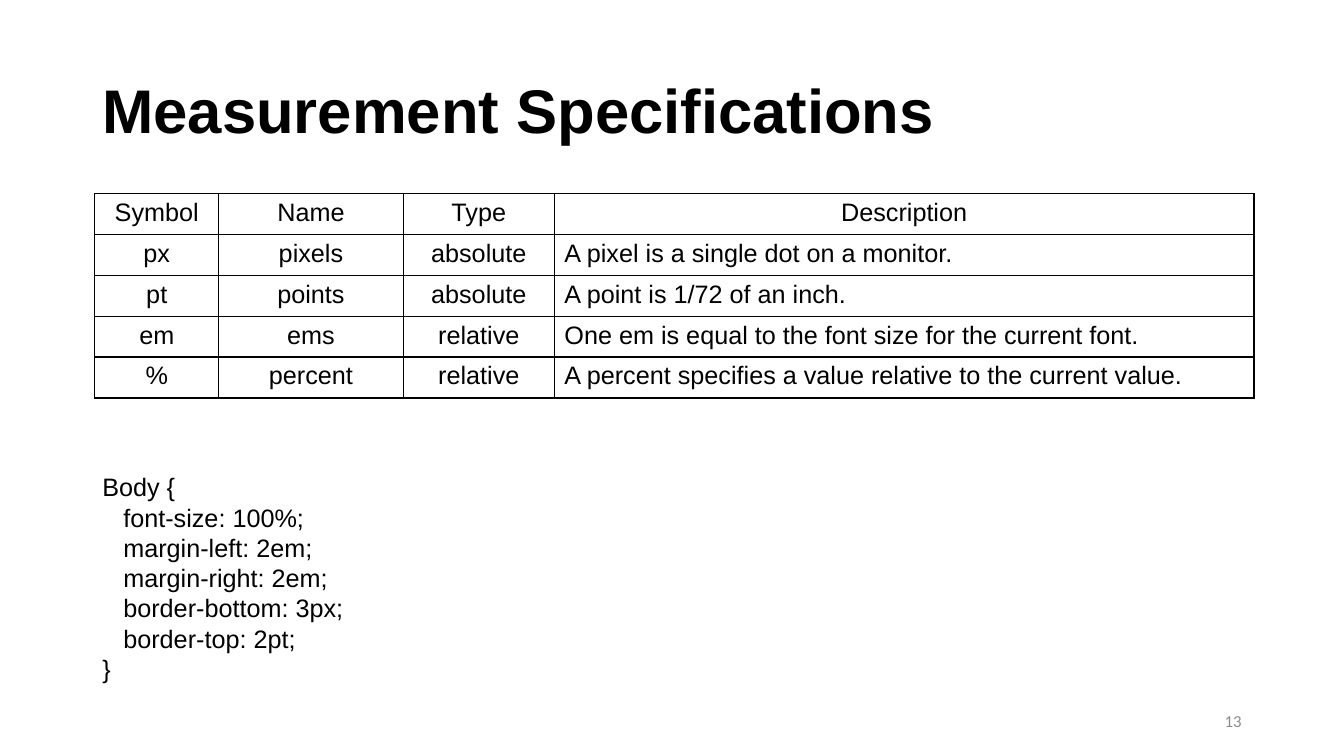
import pptx
import pptx.dml.color
import pptx.enum.text
import pptx.oxml
import pptx.oxml.ns
import pptx.util

WIDTH, HEIGHT = pptx.util.Inches(13.33), pptx.util.Inches(7.5)
GRID_COLUMNS, GRID_ROWS = 160, 90

COLORS = {"ink": "000000", "muted": "8C8C8C"}
ALIGN = pptx.enum.text.PP_ALIGN
ANCHOR = pptx.enum.text.MSO_ANCHOR

BODY = {"name": "Arial", "size": pptx.util.Pt(18), "bold": False}
TITLE = {"name": "Arial", "size": pptx.util.Pt(44), "bold": True}
NUMBER = {"name": "Calibri", "size": pptx.util.Pt(12), "bold": False}

UNIT_COLUMNS = (14.76, 21.96, 18, 83.28)
UNIT_ROW = 4.87
UNITS = (
    ("Symbol", "Name", "Type", "Description"),
    ("px", "pixels", "absolute", "A pixel is a single dot on a monitor."),
    ("pt", "points", "absolute", "A point is 1/72 of an inch."),
    ("em", "ems", "relative", "One em is equal to the font size for the current font."),
    ("%", "percent", "relative", "A percent specifies a value relative to the current value."),
)

DECLARATIONS = (
    "font-size: 100%;",
    "margin-left: 2em;",
    "margin-right: 2em;",
    "border-bottom: 3px;",
    "border-top: 2pt;",
)


def across(columns):
    return round(WIDTH * columns / GRID_COLUMNS)


def down(rows):
    return round(HEIGHT * rows / GRID_ROWS)


def place(left, top, width, height):
    return across(left), down(top), across(width), down(height)


def write(para, text, font, color="ink", align=ALIGN.LEFT):
    para.alignment = align
    span = para.add_run()
    span.text = text
    for key, value in font.items():
        setattr(span.font, key, value)
    span.font.color.rgb = pptx.dml.color.RGBColor.from_string(COLORS[color])


def add_text(page, area, lines, font, anchor=ANCHOR.TOP, color="ink", align=ALIGN.LEFT):
    """Add a text box and return its paragraphs, one for each line."""
    frame = page.shapes.add_textbox(*place(*area)).text_frame
    frame.word_wrap = True
    frame.vertical_anchor = anchor
    for index, line in enumerate(lines):
        para = frame.add_paragraph() if index else frame.paragraphs[0]
        write(para, line, font, color, align)
    return frame.paragraphs


def add_borders(cell):
    properties = cell._tc.get_or_add_tcPr()
    for index, side in enumerate(("lnL", "lnR", "lnT", "lnB")):
        line = pptx.oxml.parse_xml(
            f'<a:{side} {pptx.oxml.ns.nsdecls("a")} w="{pptx.util.Pt(1)}"><a:solidFill>'
            f'<a:srgbClr val="{COLORS["ink"]}"/></a:solidFill></a:{side}>'
        )
        properties.insert(index, line)


def add_unit_table(page):
    area = place(11.28, 23.04, sum(UNIT_COLUMNS), UNIT_ROW * len(UNITS))
    table = page.shapes.add_table(len(UNITS), len(UNIT_COLUMNS), *area).table
    table.first_row = table.horz_banding = False
    for column, width in zip(table.columns, UNIT_COLUMNS):
        column.width = across(width)
    for row_index, (row, texts) in enumerate(zip(table.rows, UNITS)):
        row.height = down(UNIT_ROW)
        for column_index, (cell, text) in enumerate(zip(row.cells, texts)):
            description = row_index > 0 and column_index == len(UNIT_COLUMNS) - 1
            align = ALIGN.LEFT if description else ALIGN.CENTER
            write(cell.text_frame.paragraphs[0], text, BODY, align=align)
            cell.fill.background()
            add_borders(cell)


def add_code(page):
    lines = ("Body {", *DECLARATIONS, "}")
    paras = add_text(page, (11, 55.56, 138, 26.64), lines, BODY)
    for para in paras[1:-1]:
        para._p.get_or_add_pPr().set("marL", str(across(2.5)))


def main():
    deck = pptx.Presentation()
    deck.slide_width, deck.slide_height = WIDTH, HEIGHT
    page = deck.slides.add_slide(deck.slide_layouts[6])
    title = add_text(page, (11, 4.8, 138, 17.4), ["Measurement Specifications"],
                     TITLE, ANCHOR.MIDDLE)
    title[0].line_spacing = 0.9
    add_unit_table(page)
    add_text(page, (113, 83.4, 36, 4.8), ["13"], NUMBER, ANCHOR.MIDDLE, "muted", ALIGN.RIGHT)
    add_code(page)
    deck.save("out.pptx")


if __name__ == "__main__":
    main()
